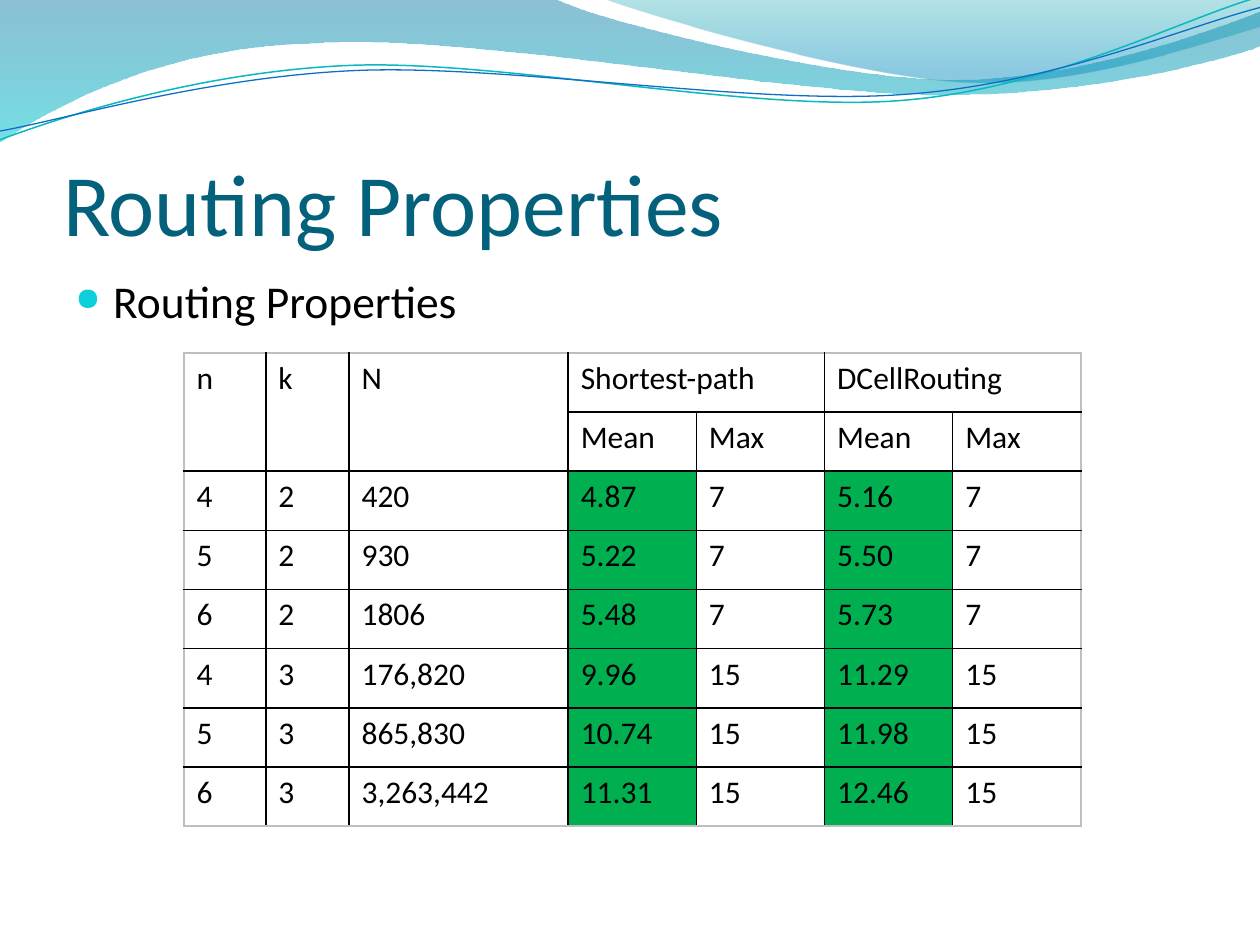
from lxml import etree
from pptx import Presentation
from pptx.dml.color import RGBColor
from pptx.enum.text import MSO_ANCHOR, PP_ALIGN
from pptx.oxml.ns import qn
from pptx.util import Inches, Pt

BOTTOM, LEFT = MSO_ANCHOR.BOTTOM, PP_ALIGN.LEFT

THEME = {
    "font": "Calibri",
    "title": "04617B", "text": "000000", "bullet": "0BD0D9",
    "page": "FFFFFF", "highlight": "00B050",
    "grid": "000000", "frame": "BFBFBF",
    "title_size": 50, "body_size": 26, "table_size": 18,
}


def style_text(text_frame, size, color):
    for paragraph in text_frame.paragraphs:
        paragraph.alignment = LEFT
        for run in paragraph.runs:
            run.font.name = THEME["font"]
            run.font.size = Pt(size)
            run.font.bold = False
            run.font.color.rgb = RGBColor.from_string(color)


def add_wave(shapes, start, segments, closed):
    """Draw lines (2 numbers) and cubic curves (6 numbers), in inches."""
    points = [(Inches(segment[i]), Inches(segment[i + 1]))
              for segment in segments for i in range(0, len(segment), 2)]
    builder = shapes.build_freeform(Inches(start[0]), Inches(start[1]))
    builder.add_line_segments(points, close=closed)
    wave = builder.convert_to_shape()
    wave.shadow.inherit = False
    # Join each group of three points into one cubic curve
    lines = iter(list(wave._element.iter(qn("a:lnTo"))))
    for segment in segments:
        line = next(lines)
        if len(segment) == 6:
            curve = etree.Element(qn("a:cubicBezTo"))
            line.addprevious(curve)
            for part in (line, next(lines), next(lines)):
                curve.append(part[0])
                part.getparent().remove(part)
    return wave


prs = Presentation()
prs.slide_width, prs.slide_height = Inches(10), Inches(7.5)
slide = prs.slides.add_slide(prs.slide_layouts[5])
slide.background.fill.solid()
slide.background.fill.fore_color.rgb = RGBColor.from_string(THEME["page"])

# Filled waves: start, segments, gradient stops (position, colour, opacity %)
filled_waves = [
    ((0, 0),
     [(4.4, -0.01), (4.76, 0.17, 6.64, 0.63, 7.58, 0.63), (8.53, 0.63, 9.58, 0.26, 10, 0.09),
      (10.01, 0.36), (9.83, 0.44, 8.7, 0.76, 7.46, 0.75), (6.22, 0.75, 3.82, 0.28, 2.57, 0.34),
      (1.29, 0.36, 0.46, 0.83, -0.01, 1.13), (0, 0)],
     [(0, "0074A1", 45), (1, "00C6CF", 55)]),
    ((4.79, -0.01),
     [(5.09, 0.11, 6.82, 0.62, 7.69, 0.65), (8.56, 0.69, 9.61, 0.32, 10, 0.21),
      (10, 0), (4.79, -0.01)],
     [(0, "00A1A9", 30), (0.8, "008BBF", 45)]),
]
for start, segments, stops in filled_waves:
    wave = add_wave(slide.shapes, start, segments, True)
    wave.line.fill.background()
    wave.fill.gradient()
    wave.fill.gradient_angle = 270
    for stop, (position, color, _) in zip(wave.fill.gradient_stops, stops):
        stop.position = position
        stop.color.rgb = RGBColor.from_string(color)
    gradient = wave._element.spPr.find(qn("a:gradFill"))
    for color_node, (_, _, opacity) in zip(gradient.iter(qn("a:srgbClr")), stops):
        etree.SubElement(color_node, qn("a:alpha"), val=str(opacity * 1000))

# Thin wave lines: start, curves, colour, width
wave_lines = [
    ((0, 1.11),
     [(0.48, 0.93, 1.58, 0.57, 2.77, 0.52), (3.95, 0.47, 5.93, 0.89, 7.13, 0.8),
      (8.33, 0.71, 9.38, 0.15, 9.98, -0.02)], "0AB8BF", 0.85),
    ((0, 1.04),
     [(0.47, 0.96, 1.64, 0.61, 2.83, 0.56), (4.03, 0.51, 5.97, 0.84, 7.17, 0.75),
      (8.36, 0.67, 9.41, 0.21, 10, 0.06)], "0F6FC6", 0.75),
]
for start, curves, color, width in wave_lines:
    wave = add_wave(slide.shapes, start, curves, False)
    wave.fill.background()
    wave.line.color.rgb = RGBColor.from_string(color)
    wave.line.width = Pt(width)

# Title, in front of the waves
title = slide.shapes.title
slide.shapes._spTree.append(title._element)
title.left, title.top, title.width, title.height = map(Inches, (0.5, 0.77, 9, 1.25))
title_frame = title.text_frame
title_frame.text = "Routing Properties"
title_frame.vertical_anchor = BOTTOM
title_frame.margin_left = title_frame.margin_right = title_frame.margin_bottom = 0
title_frame.margin_top = Inches(0.05)
style_text(title_frame, THEME["title_size"], THEME["title"])

# Bulleted line
body = slide.shapes.add_textbox(Inches(0.5), Inches(2.12), Inches(9), Inches(4.8))
body_frame = body.text_frame
body_frame.word_wrap = True
body_frame.text = "Routing Properties"
style_text(body_frame, THEME["body_size"], THEME["text"])
bullet_line = body_frame.paragraphs[0]
bullet_line.space_before = Pt(0.2 * THEME["body_size"])
bullet_props = bullet_line._p.get_or_add_pPr()
bullet_props.set("marL", str(Inches(0.3)))
bullet_props.set("indent", str(Inches(-0.3)))
bullet_color = etree.SubElement(bullet_props, qn("a:buClr"))
etree.SubElement(bullet_color, qn("a:srgbClr"), val=THEME["bullet"])
etree.SubElement(bullet_props, qn("a:buSzPct"), val="70000")
etree.SubElement(bullet_props, qn("a:buChar"), char="●")

# Routing table
rows = [
    ["n", "k", "N", "Shortest-path", "", "DCellRouting", ""],
    ["", "", "", "Mean", "Max", "Mean", "Max"],
    ["4", "2", "420", "4.87", "7", "5.16", "7"],
    ["5", "2", "930", "5.22", "7", "5.50", "7"],
    ["6", "2", "1806", "5.48", "7", "5.73", "7"],
    ["4", "3", "176,820", "9.96", "15", "11.29", "15"],
    ["5", "3", "865,830", "10.74", "15", "11.98", "15"],
    ["6", "3", "3,263,442", "11.31", "15", "12.46", "15"],
]
table_width, table_height = 7.12, 3.76
key_widths = [0.65, 0.66, 1.74]
column_widths = key_widths + [(table_width - sum(key_widths)) / 4] * 4
header_rows, mean_columns = 2, (3, 5)
last_row, last_column = len(rows) - 1, len(column_widths) - 1
routing = slide.shapes.add_table(len(rows), len(column_widths), Inches(1.46), Inches(2.8),
                                 Inches(table_width), Inches(table_height)).table
routing.first_row = routing.horz_banding = False
for column, width in zip(routing.columns, column_widths):
    column.width = Inches(width)
for c in range(len(key_widths)):
    routing.cell(0, c).merge(routing.cell(1, c))
for c in mean_columns:
    routing.cell(0, c).merge(routing.cell(0, c + 1))

for r, values in enumerate(rows):
    for c, value in enumerate(values):
        cell = routing.cell(r, c)
        if value:
            cell.text = value
            style_text(cell.text_frame, THEME["table_size"], THEME["text"])
        highlighted = r >= header_rows and c in mean_columns
        cell.fill.solid()
        cell.fill.fore_color.rgb = RGBColor.from_string(
            THEME["highlight" if highlighted else "page"])
        # Black inner grid, grey outer frame
        right_column = c + cell.span_width - 1 if cell.is_merge_origin else c
        on_frame = {"a:lnL": c == 0, "a:lnR": right_column == last_column,
                    "a:lnT": r == 0, "a:lnB": r == last_row}
        cell_props = cell._tc.get_or_add_tcPr()
        for index, (side, outer) in enumerate(on_frame.items()):
            border = etree.Element(qn(side), w=str(Pt(1)))
            border_fill = etree.SubElement(border, qn("a:solidFill"))
            etree.SubElement(border_fill, qn("a:srgbClr"),
                             val=THEME["frame" if outer else "grid"])
            cell_props.insert(index, border)

prs.save("out.pptx")
